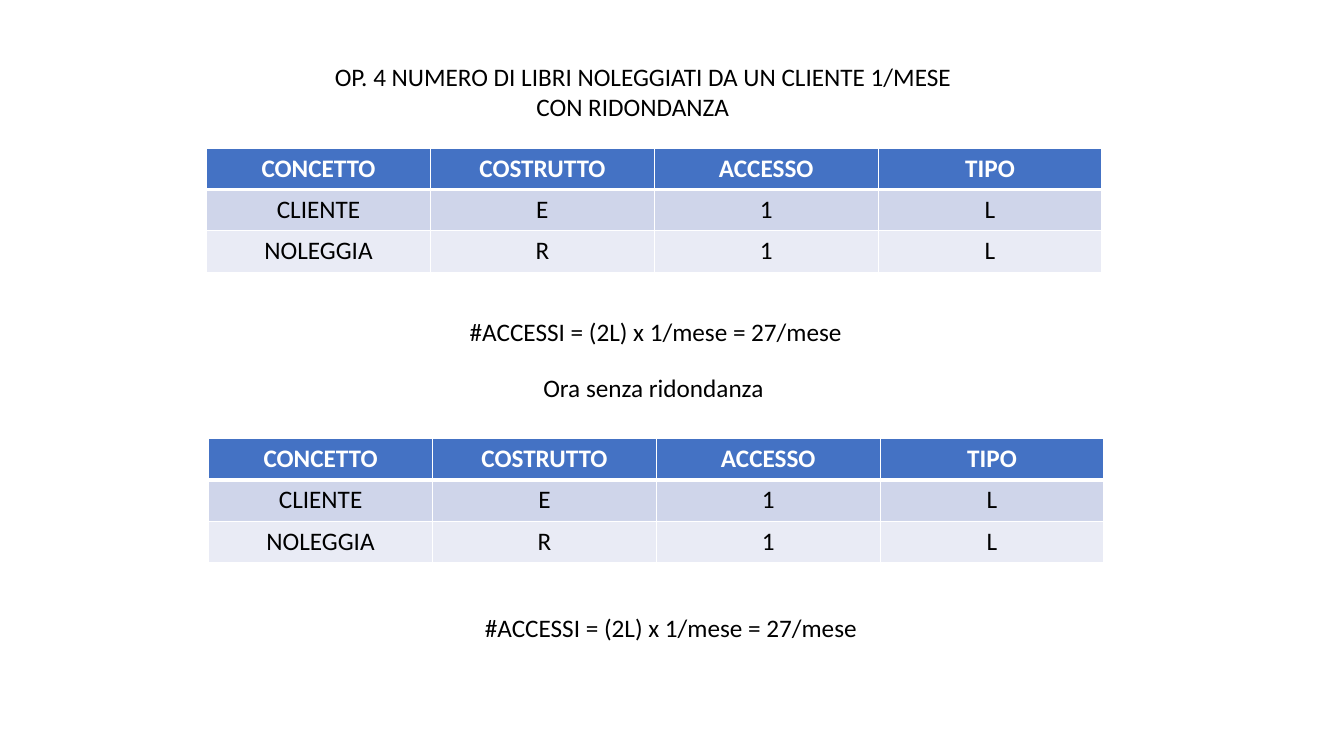
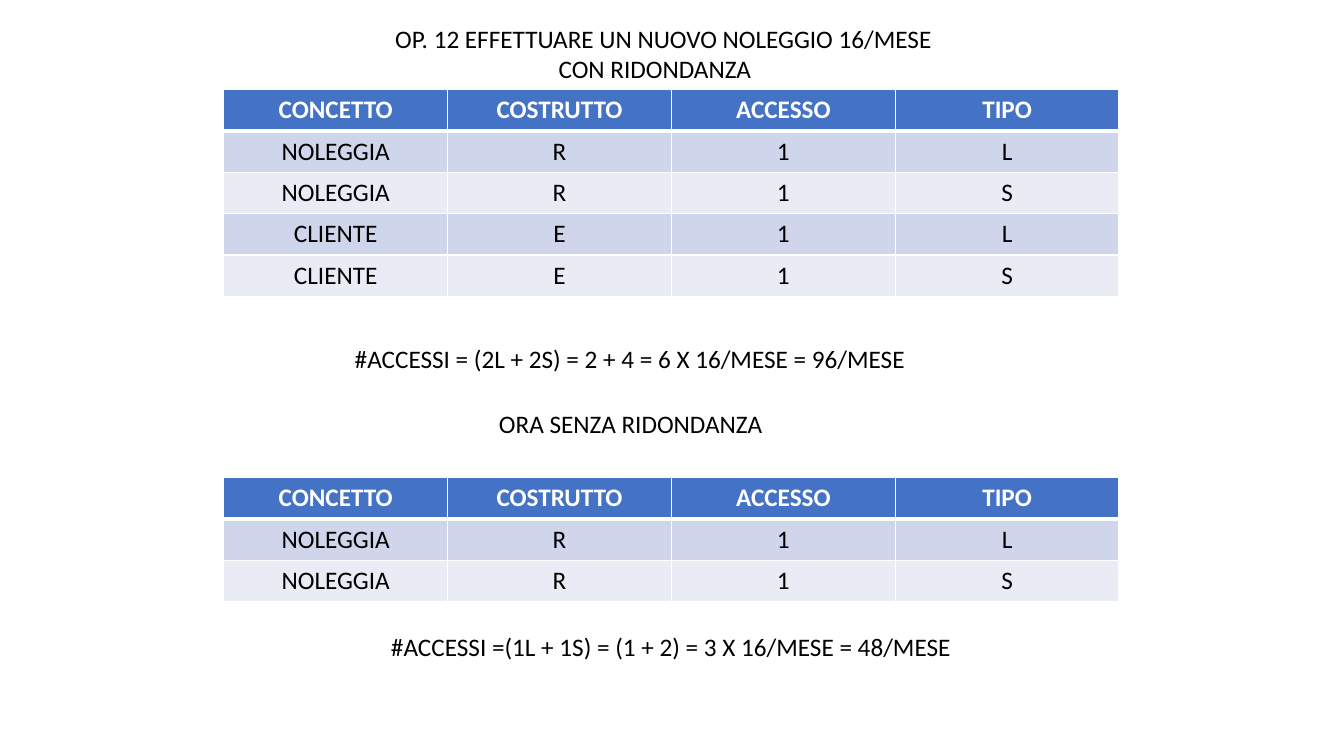
import pptx
import pptx.util
import pptx.dml.color
import pptx.enum.text
import pptx.oxml.ns
import lxml.etree

Inches = pptx.util.Inches
Pt = pptx.util.Pt

# Shared look
FONT, TEXT_SIZE = "Calibri", 18
BLACK, WHITE, HEADER_BLUE = "000000", "FFFFFF", "4472C4"
BANDS = ("CFD5EA", "E9EBF5")
COLUMN_WIDTH, ROW_HEIGHT = 2.22, 0.41
TITLE_HEIGHT, CAPTION_HEIGHT = 0.71, 0.4
THIN, THICK = 1, 3

# Content: positions are (left, top) in inches
COLUMNS = ("CONCETTO", "COSTRUTTO", "ACCESSO", "TIPO")
CLIENT_READ = ("CLIENTE", "E", "1", "L")
CLIENT_WRITE = ("CLIENTE", "E", "1", "S")
RENTAL_READ = ("NOLEGGIA", "R", "1", "L")
RENTAL_WRITE = ("NOLEGGIA", "R", "1", "S")

OPERATIONS = [
    {
        "title": ("OP. 4 NUMERO DI LIBRI NOLEGGIATI DA UN CLIENTE 1/MESE",
                  "CON RIDONDANZA"),
        "title_at": (3.22, 0.56), "title_width": 6.58, "subtitle_indent": 2,
        "tables": [((2.05, 1.47), (CLIENT_READ, RENTAL_READ)),
                   ((2.07, 4.35), (CLIENT_READ, RENTAL_READ))],
        "captions": [
            ((4.56, 3.09), 3.91, "#ACCESSI = (2L) x 1/mese = 27/mese"),
            ((5.29, 3.64), 2.41, "Ora senza ridondanza"),
            ((4.71, 6.03), 3.91, "#ACCESSI = (2L) x 1/mese = 27/mese"),
        ],
    },
    {
        "title": ("OP. 12 EFFETTUARE UN NUOVO NOLEGGIO 16/MESE",
                  "CON RIDONDANZA"),
        "title_at": (3.82, 0.18), "title_width": 5.69, "subtitle_indent": 1.62,
        "tables": [((2.22, 0.89), (RENTAL_READ, RENTAL_WRITE,
                                   CLIENT_READ, CLIENT_WRITE)),
                   ((2.22, 4.74), (RENTAL_READ, RENTAL_WRITE))],
        "captions": [
            ((3.42, 3.36), 5.74,
             "#ACCESSI = (2L + 2S) = 2 + 4 = 6 X 16/MESE = 96/MESE"),
            ((4.85, 4), 2.89, "ORA SENZA RIDONDANZA"),
            ((3.78, 6.21), 5.77,
             "#ACCESSI =(1L + 1S) = (1 + 2) = 3 X 16/MESE = 48/MESE"),
        ],
    },
]


def rgb(value):
    return pptx.dml.color.RGBColor.from_string(value)


def style(paragraph, color=BLACK, bold=False, align="LEFT"):
    paragraph.alignment = getattr(pptx.enum.text.PP_ALIGN, align)
    font = paragraph.font
    font.name, font.size, font.bold = FONT, Pt(TEXT_SIZE), bold
    font.color.rgb = rgb(color)


def add_title(slide, operation):
    title = slide.shapes.title
    title.left, title.top = map(Inches, operation["title_at"])
    title.width = Inches(operation["title_width"])
    title.height = Inches(TITLE_HEIGHT)
    frame = title.text_frame
    frame.text = "\n".join(operation["title"])
    frame.word_wrap = True
    frame.auto_size = pptx.enum.text.MSO_AUTO_SIZE.NONE
    frame.vertical_anchor = pptx.enum.text.MSO_ANCHOR.TOP
    for paragraph in frame.paragraphs:
        style(paragraph)
        paragraph.line_spacing = 1.0
    # Indent the second line
    properties = frame.paragraphs[1]._p.get_or_add_pPr()
    properties.set("marL", str(Inches(operation["subtitle_indent"])))
    properties.set("indent", "0")


def add_caption(slide, position, width, text):
    box = slide.shapes.add_textbox(*map(Inches, (*position, width, CAPTION_HEIGHT)))
    box.text_frame.word_wrap = False
    box.text_frame.text = text
    style(box.text_frame.paragraphs[0])


def set_borders(cell, top, bottom):
    qn = pptx.oxml.ns.qn
    properties = cell._tc.get_or_add_tcPr()
    for side, weight in (("L", THIN), ("R", THIN), ("T", top), ("B", bottom)):
        line = lxml.etree.SubElement(properties, qn(f"a:ln{side}"), w=str(Pt(weight)))
        fill = lxml.etree.SubElement(line, qn("a:solidFill"))
        lxml.etree.SubElement(fill, qn("a:srgbClr"), val=WHITE)


def add_access_table(slide, position, accesses):
    rows = (COLUMNS, *accesses)
    table = slide.shapes.add_table(
        len(rows), len(COLUMNS), *map(Inches, position),
        Inches(COLUMN_WIDTH * len(COLUMNS)), Inches(ROW_HEIGHT * len(rows))).table
    for column in table.columns:
        column.width = Inches(COLUMN_WIDTH)
    for r, values in enumerate(rows):
        table.rows[r].height = Inches(ROW_HEIGHT)
        header = r == 0
        for c, value in enumerate(values):
            cell = table.cell(r, c)
            cell.text = value
            style(cell.text_frame.paragraphs[0], WHITE if header else BLACK,
                  header, "CENTER")
            # Header and first body row share the thick rule
            set_borders(cell, THICK if r == 1 else THIN, THICK if header else THIN)
            cell.fill.solid()
            cell.fill.fore_color.rgb = rgb(
                HEADER_BLUE if header else BANDS[(r - 1) % len(BANDS)])


def main():
    deck = pptx.Presentation()
    deck.slide_width, deck.slide_height = Inches(13.33), Inches(7.5)
    title_only = deck.slide_layouts[5]
    for operation in OPERATIONS:
        slide = deck.slides.add_slide(title_only)
        add_title(slide, operation)
        for position, accesses in operation["tables"]:
            add_access_table(slide, position, accesses)
        for caption in operation["captions"]:
            add_caption(slide, *caption)
    deck.save("out.pptx")


if __name__ == "__main__":
    main()
